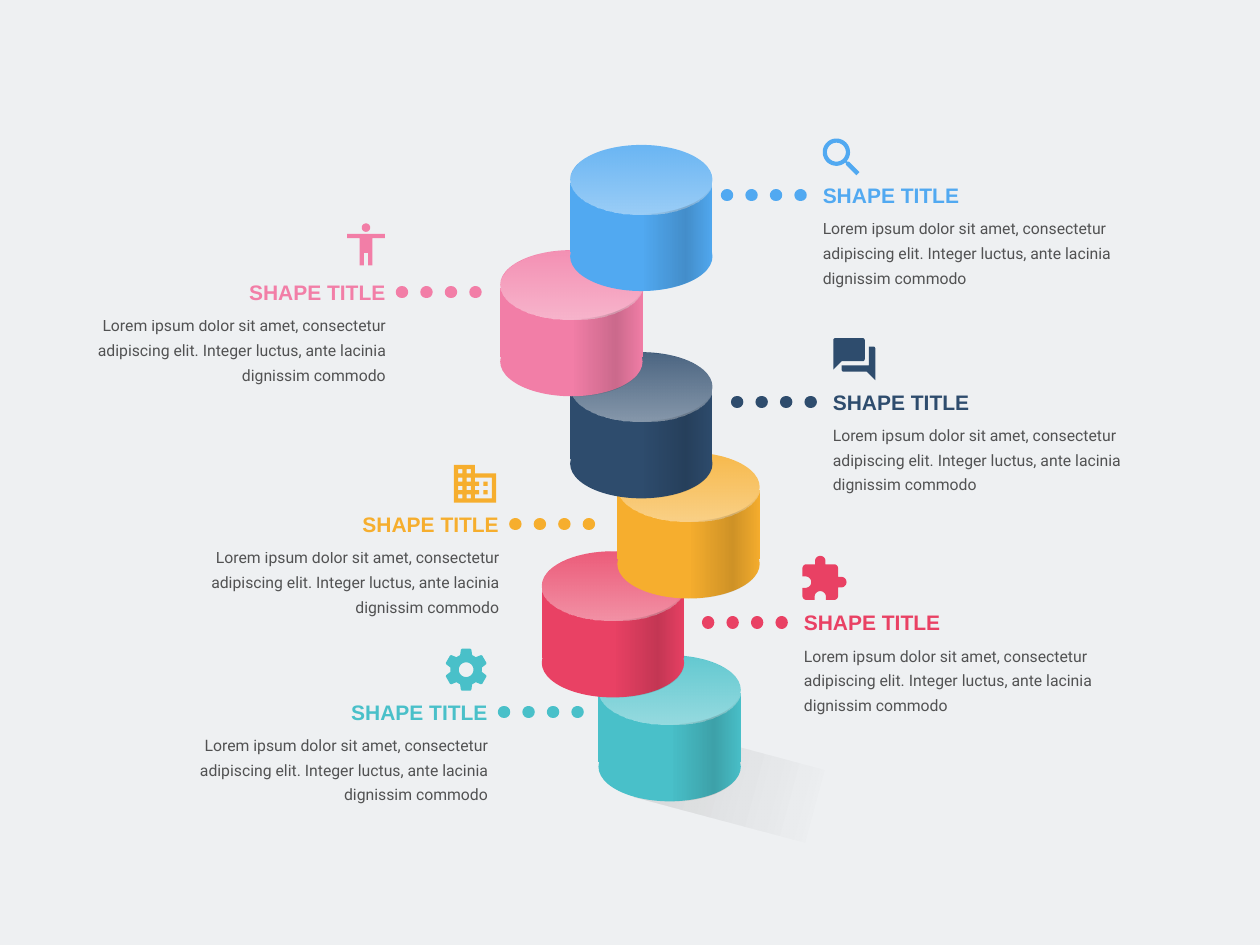
from dataclasses import dataclass
from math import cos, radians, sin

from pptx import Presentation
from pptx.dml.color import RGBColor
from pptx.enum.dml import MSO_LINE
from pptx.enum.shapes import MSO_CONNECTOR as Connector, MSO_SHAPE as Preset
from pptx.enum.text import MSO_ANCHOR as Anchor, MSO_AUTO_SIZE as AutoSize, PP_ALIGN as Align
from pptx.oxml import parse_xml
from pptx.oxml.ns import nsdecls, qn
from pptx.oxml.xmlchemy import OxmlElement
from pptx.util import Inches, Pt

Point = tuple[float, float]
Contour = list[Point]

WIDTH, HEIGHT = Inches(10), Inches(7.5)
CELL = WIDTH // 1000           # the slide is a grid of 1000 columns by 750 rows
ICON_UNIT = Inches(1) / 60     # icons are drawn on a 24 by 24 unit grid
FINE = 100                     # freeform steps per unit
DISC_W, DISC_H, DISC_DEPTH = 113, 55, 61
TEXT_W = 275
BODY = ("Lorem ipsum dolor sit amet, consectetur adipiscing elit. "
        "Integer luctus, ante lacinia dignissim commodo")


@dataclass(frozen=True)
class Theme:
    background: str = "EEF0F2"
    ink: str = "000000"
    light: str = "FFFFFF"
    blue: str = "51A9F1"
    pink: str = "F27EA7"
    navy: str = "2E4C6D"
    amber: str = "F6AE2E"
    red: str = "E94164"
    teal: str = "49C0C9"
    title_font: str = "Arial"
    body_font: str = "Roboto"
    title_size: int = 12
    body_size: int = 9
    body_alpha: int = 65
    dot_size: int = 7


THEME = Theme()


@dataclass(frozen=True)
class Step:
    """One cylinder with its label; edge is the text side facing the stack."""
    color: str
    disc: Point
    edge: int
    title_top: int
    on_right: bool
    icon: list[Contour]
    icon_at: Point


def arc(x: float, y: float, rx: float, start: float, end: float, ry: float = 0) -> Contour:
    """Points along an ellipse, in degrees clockwise from the right."""
    count = max(6, int(abs(end - start) / 6))
    angles = [radians(start + (end - start) * i / count) for i in range(count + 1)]
    return [(x + rx * cos(a), y + (ry or rx) * sin(a)) for a in angles]


def circle(x: float, y: float, radius: float) -> Contour:
    return arc(x, y, radius, 0, 360)


def window(x: float, y: float) -> Contour:
    return [(x, y), (x + 2, y), (x + 2, y + 2), (x, y + 2)]


def gear() -> list[Contour]:
    tooth = [(7.43, .98), (7.5, 0), (7.43, -.98), (9.54, -2.63),
             (9.66, -3.27), (7.66, -6.73), (7.05, -6.95)]
    turns = [radians(-60 * i) for i in range(6)]
    rim = [(12 + x * cos(t) - y * sin(t), 12 + x * sin(t) + y * cos(t))
           for t in turns for x, y in tooth]
    return [rim, circle(12, 12, 3.5)]


PERSON = [circle(12, 4, 2),
          [(21, 9), (15, 9), (15, 22), (13, 22), (13, 16), (11, 16), (11, 22),
           (9, 22), (9, 9), (3, 9), (3, 7), (21, 7)]]
LENS = [arc(9.5, 9.5, 6.5, 40.6, -310.6)
        + [(14, 14.71), (14, 15.5), (19, 20.49), (20.49, 19), (15.5, 14), (14.71, 14)],
        circle(9.5, 9.5, 4.5)]
OFFICE = [[(12, 7), (12, 3), (2, 3), (2, 21), (22, 21), (22, 7)],
          *[window(x, y) for x in (4, 8) for y in (5, 9, 13, 17)],
          [(20, 19), (12, 19), (12, 17), (14, 17), (14, 15), (12, 15), (12, 13),
           (14, 13), (14, 11), (12, 11), (12, 9), (20, 9)],
          window(16, 11), window(16, 15)]
CHAT = [[(19, 6), (19, 15), (6, 15)] + arc(7, 17, 1, 180, 90)
        + [(18, 18), (22, 22)] + arc(21, 7, 1, 0, -90),
        arc(16, 3, 1, 0, -90) + arc(3, 3, 1, -90, -180)
        + [(2, 17), (6, 13)] + arc(16, 12, 1, 90, 0)]
PUZZLE = [[(19, 11)] + arc(17, 7, 2, 0, -90) + [(13, 5)] + arc(10.5, 3.5, 2.5, 0, -180)
          + [(8, 5)] + arc(4, 7, 2, -90, -180) + [(2, 10.8)]
          + arc(3.5, 13.5, 2.7, -90, 90) + [(2, 16.2)] + arc(4, 20, 2, 180, 90)
          + [(7.8, 22)] + arc(10.5, 20.5, 2.7, -180, 0) + [(13.2, 22)]
          + arc(17, 20, 2, 90, 0) + [(19, 16)] + arc(20.5, 13.5, 2.5, 90, -90)]

STEPS = [  # from the bottom of the stack to the top
    Step(THEME.teal, (475, 520), 387, 555, False, gear(), (350, 511.5)),
    Step(THEME.red, (430, 437.5), 638, 484, True, PUZZLE, (633.5, 439.5)),
    Step(THEME.amber, (490, 359), 396, 406, False, OFFICE, (357, 364)),
    Step(THEME.navy, (452.5, 279.5), 661, 309, True, CHAT, (658, 265)),
    Step(THEME.pink, (397, 198.5), 306, 222, False, PERSON, (270.5, 174)),
    Step(THEME.blue, (452.5, 115), 653, 145, True, LENS, (648, 105)),
]


def cells(*counts: float) -> list[int]:
    return [round(count * CELL) for count in counts]


def paint(shape, color: str) -> None:
    shape.shadow.inherit = False
    shape.line.fill.background()
    shape.fill.solid()
    shape.fill.fore_color.rgb = RGBColor.from_string(color)


def fade(shape, color: str, stops: dict[int, int], angle: int = 0) -> None:
    """Fill with one colour whose opacity follows {position: percent}."""
    paint(shape, color)
    marks = "".join(f'<a:gs pos="{pos * 1000}"><a:srgbClr val="{color}">'
                    f'<a:alpha val="{alpha * 1000}"/></a:srgbClr></a:gs>'
                    for pos, alpha in stops.items())
    gradient = parse_xml(f'<a:gradFill {nsdecls("a")} rotWithShape="1"><a:gsLst>{marks}</a:gsLst>'
                         f'<a:lin ang="{angle * 60000}" scaled="0"/></a:gradFill>')
    properties = shape.element.spPr
    properties.replace(properties.find(qn("a:solidFill")), gradient)


def add_outline(shapes, contours: list[Contour], unit: float, at: Point):
    fine = [[(x * FINE, y * FINE) for x, y in contour] for contour in contours]
    builder = shapes.build_freeform(*fine[0][0], scale=unit / FINE)
    for number, contour in enumerate(fine):
        if number:
            builder.move_to(*contour[0])
        builder.add_line_segments(contour[1:], close=True)
    return builder.convert_to_shape(*cells(*at))


def add_cylinder(page, step: Step) -> None:
    shapes = page.shapes.add_group_shape().shapes
    left, top = step.disc
    for preset, drop in ((Preset.FLOWCHART_PROCESS, 30), (Preset.OVAL, DISC_DEPTH), (Preset.OVAL, 0)):
        paint(shapes.add_shape(preset, *cells(left, top + drop, DISC_W, DISC_H)), step.color)
    gloss = shapes.add_shape(Preset.OVAL, *cells(left, top, DISC_W, DISC_H))
    fade(gloss, THEME.light, {0: 14, 100: 43}, 90)
    rx, ry = DISC_W / 2, DISC_H / 2
    side = arc(rx, ry + DISC_DEPTH, rx, 0, 88, ry) + arc(rx, ry, rx, 88, 5, ry)
    fade(add_outline(shapes, [side], CELL, step.disc), THEME.ink, {0: 0, 61: 16, 100: 0})


def add_text(page, words: str, frame: tuple, align: Align, anchor: Anchor, spacing: float,
             color: str, **font):
    """Add a one-paragraph box and return its run."""
    text = page.shapes.add_textbox(*cells(*frame)).text_frame
    layout = dict(margin_left=0, margin_top=0, margin_right=0, margin_bottom=0, word_wrap=True,
                  auto_size=AutoSize.SHAPE_TO_FIT_TEXT, vertical_anchor=anchor)
    para = text.paragraphs[0]
    span = para.add_run()
    span.text = words
    for target, values in ((text, layout), (para, dict(alignment=align, line_spacing=spacing)),
                           (span.font, font)):
        for name, value in values.items():
            setattr(target, name, value)
    span.font.color.rgb = RGBColor.from_string(color)
    return span


def add_label(page, step: Step) -> None:
    left = step.edge if step.on_right else step.edge - TEXT_W
    align = Align.LEFT if step.on_right else Align.RIGHT
    body = add_text(page, BODY, (left, step.title_top + 24.5, TEXT_W, 57), align, Anchor.TOP, 1.3,
                    THEME.ink, name=THEME.body_font, size=Pt(THEME.body_size))
    alpha = OxmlElement("a:alpha")
    alpha.set("val", str(THEME.body_alpha * 1000))
    body.font.fill._xPr.find(qn("a:solidFill"))[0].append(alpha)
    add_text(page, "SHAPE TITLE", (left, step.title_top, TEXT_W, 20), align, Anchor.MIDDLE, 1.0,
             step.color, name=THEME.title_font, size=Pt(THEME.title_size), bold=True)
    start = step.edge + (-76 if step.on_right else 13)
    middle = step.title_top + 10
    dots = page.shapes.add_connector(Connector.STRAIGHT, *cells(start, middle, start + 62.5, middle))
    dots.line.color.rgb = RGBColor.from_string(step.color)
    dots.line.width = Pt(THEME.dot_size)
    dots.line.dash_style = MSO_LINE.ROUND_DOT
    dots.get_or_add_ln().set("cap", "rnd")
    dots.element.spPr.append(OxmlElement("a:effectLst"))


def main() -> None:
    deck = Presentation()
    deck.slide_width, deck.slide_height = WIDTH, HEIGHT
    page = deck.slides.add_slide(deck.slide_layouts[6])
    page.background.fill.solid()
    page.background.fill.fore_color.rgb = RGBColor.from_string(THEME.background)

    ground = page.shapes.add_shape(Preset.RECTANGLE, *cells(509, 592, 140, 60))
    ground.rotation = 15
    fade(ground, THEME.ink, {0: 11, 94: 0})
    for step in STEPS:
        paint(add_outline(page.shapes, step.icon, ICON_UNIT, step.icon_at), step.color)
    for step in STEPS:
        add_cylinder(page, step)
    for step in STEPS:
        add_label(page, step)
    deck.save("out.pptx")


if __name__ == "__main__":
    main()
